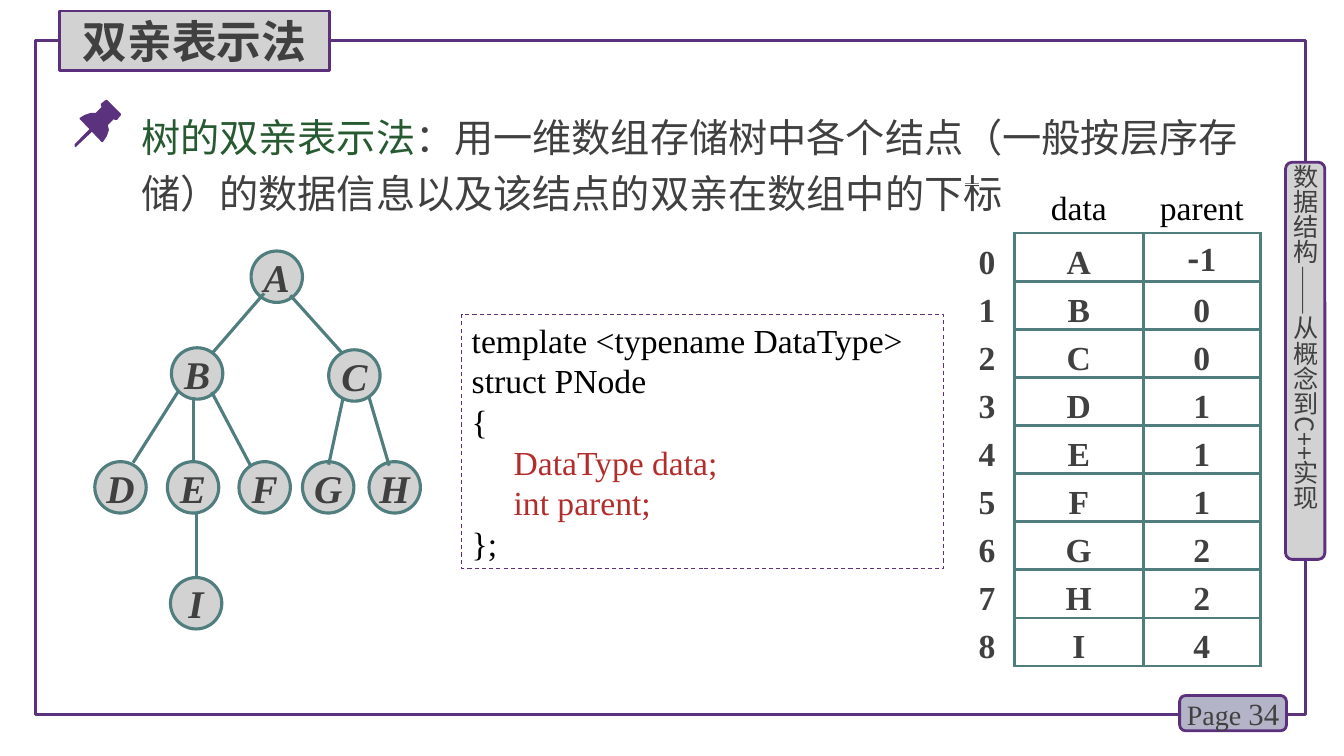
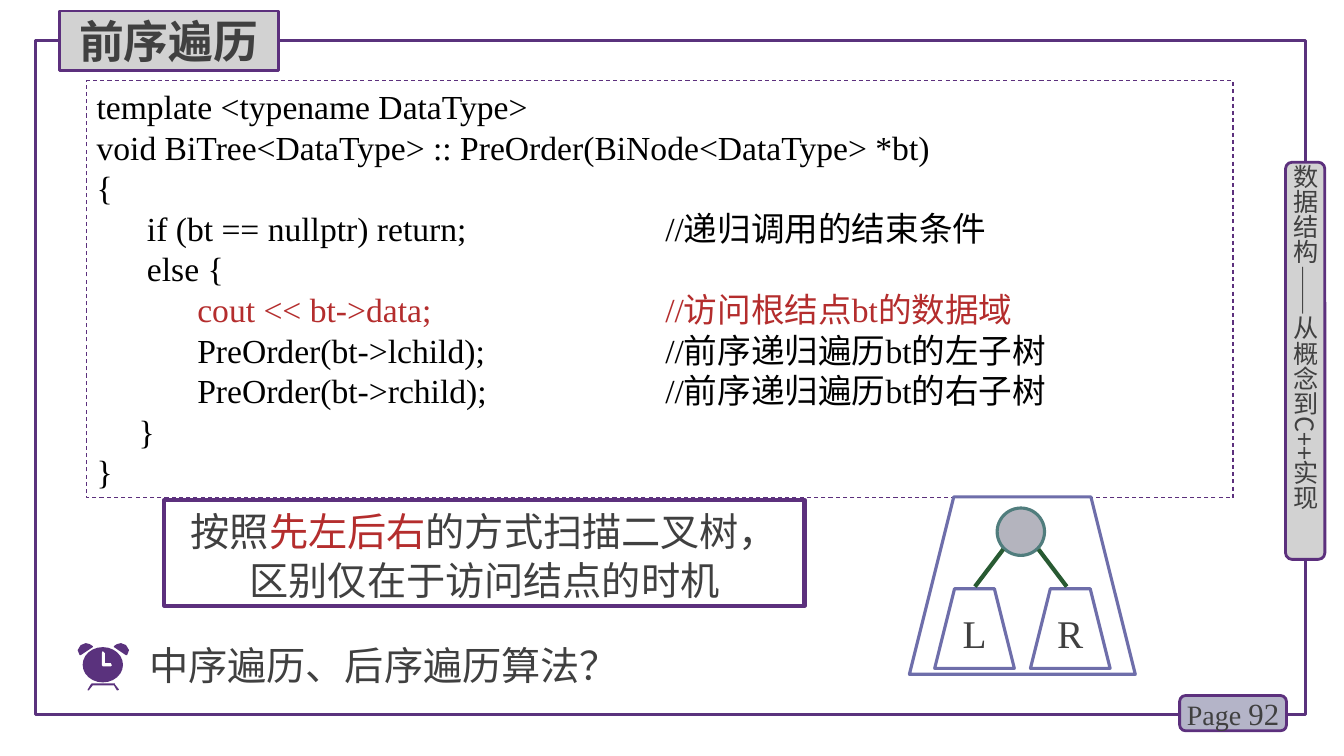
from pptx import Presentation
from pptx.dml.color import RGBColor
from pptx.enum.dml import MSO_LINE
from pptx.enum.shapes import MSO_CONNECTOR, MSO_SHAPE
from pptx.enum.text import MSO_ANCHOR, MSO_AUTO_SIZE, PP_ALIGN
from pptx.oxml.ns import qn
from pptx.util import Pt
from lxml.etree import SubElement

EMU_PER_PX = 9144
SERIF, SANS = "Times New Roman", "Noto Sans CJK SC"
INK, BLACK, WHITE, RED, GREEN = "404040", "000000", "FFFFFF", "B42D2D", "285A32"
PURPLE, EDGE, TEAL, LILAC = "5A327D", "5C307D", "507D7D", "6E6EAA"
GREY, BADGE, ROOT = "D2D2D2", "B4B4C8", "B4B4BE"
LEFT, CENTER = PP_ALIGN.LEFT, PP_ALIGN.CENTER


def px(length):
    return length * EMU_PER_PX


def rgb(colour):
    return RGBColor.from_string(colour)


def set_font(font, size=None, colour=None, face=None, bold=None, italic=None):
    if size:
        font.size = Pt(size)
    if colour:
        font.color.rgb = rgb(colour)
    if bold is not None:
        font.bold = bold
    if italic is not None:
        font.italic = italic
    if face:
        font.name = face
        SubElement(font._rPr, qn("a:ea")).set("typeface", SANS)


def write(frame, paragraphs, align=LEFT, spacing=None, tab=None, plain=False, **font):
    for index, content in enumerate(paragraphs):
        paragraph = frame.paragraphs[0] if index == 0 else frame.add_paragraph()
        props = paragraph._p.get_or_add_pPr()
        if plain:
            props.set("marL", "0")
            props.set("indent", "0")
            SubElement(props, qn("a:buNone"))
        if tab:
            stop = SubElement(SubElement(props, qn("a:tabLst")), qn("a:tab"))
            stop.set("pos", str(px(tab)))
            stop.set("algn", "l")
        paragraph.alignment = align
        paragraph.space_before = Pt(0)
        if spacing:
            paragraph.line_spacing = Pt(spacing)
        set_font(paragraph.font, **font)
        for text, changes in [(content, {})] if isinstance(content, str) else content:
            run = paragraph.add_run()
            run.text = text
            set_font(run.font, **changes)


def set_frame(shape, anchor=MSO_ANCHOR.MIDDLE, insets=(0, 0, 0, 0), wrap=True):
    frame = shape.text_frame
    frame.word_wrap = wrap
    frame.auto_size = MSO_AUTO_SIZE.NONE
    frame.vertical_anchor = anchor
    (frame.margin_left, frame.margin_top,
     frame.margin_right, frame.margin_bottom) = map(px, insets)
    return frame


def paint(shape, fill=None, line=None, width=2.25, dash=None):
    if fill:
        shape.fill.solid()
        shape.fill.fore_color.rgb = rgb(fill)
    else:
        shape.fill.background()
    if line:
        shape.line.color.rgb = rgb(line)
        shape.line.width = Pt(width)
        if dash:
            shape.line.dash_style = dash
    else:
        shape.line.fill.background()


def add_box(slide, kind, box, **look):
    shape = slide.shapes.add_shape(kind, *map(px, box))
    shape.shadow.inherit = False
    paint(shape, **look)
    return shape


def add_line(slide, x, y, ends, colour, width):
    x1, y1, x2, y2 = ends
    line = slide.shapes.add_connector(
        MSO_CONNECTOR.STRAIGHT, px(x + x1), px(y + y1), px(x + x2), px(y + y2))
    line.line.color.rgb = rgb(colour)
    line.line.width = Pt(width)
    SubElement(line._element.spPr, qn("a:effectLst"))


def add_outline(slide, x, y, points, fill=PURPLE):
    corners = [(x + dx, y + dy) for dx, dy in points]
    builder = slide.shapes.build_freeform(*corners[0], scale=EMU_PER_PX)
    builder.add_line_segments(corners[1:], close=True)
    outline = builder.convert_to_shape()
    outline.shadow.inherit = False
    paint(outline, fill)


def place(placeholder, box):
    (placeholder.left, placeholder.top,
     placeholder.width, placeholder.height) = map(px, box)


def add_page(deck, title, tab_width, number):
    slide = deck.slides.add_slide(deck.slide_layouts[1])
    border = add_box(slide, MSO_SHAPE.RECTANGLE, (35, 40, 1260, 669), line=PURPLE)
    slide.shapes._spTree.insert(2, border._element)

    badge = add_box(slide, MSO_SHAPE.ROUNDED_RECTANGLE, (1170, 690, 106, 35),
                    fill=BADGE, line=EDGE, width=2)
    write(set_frame(badge, wrap=False), [[("Page ", {"size": 20}), (number, {"size": 22})]],
          align=CENTER, colour=INK, face=SERIF)

    spine = add_box(slide, MSO_SHAPE.ROUNDED_RECTANGLE, (1275, 161, 39, 394),
                    fill=GREY, line=EDGE, width=2)
    spine_frame = set_frame(spine)
    spine_frame._txBody.bodyPr.set("vert", "eaVert")
    write(spine_frame, ["数据结构——从概念到C++实现"], align=CENTER,
          size=18, colour=INK, face=SANS)

    heading = slide.shapes.title
    place(heading, (59, 11, tab_width, 59))
    outline = SubElement(heading._element.spPr, qn("a:prstGeom"))
    outline.set("prst", "roundRect")
    SubElement(outline, qn("a:avLst"))
    paint(heading, fill=GREY, line=EDGE, width=2)
    write(set_frame(heading, wrap=False), [title], align=CENTER,
          size=32, colour=INK, face=SANS, bold=True)
    return slide


def add_body(slide, box, content, anchor, insets, spacing=None):
    body = slide.placeholders[1]
    place(body, box)
    write(set_frame(body, anchor, insets), [content], plain=True, spacing=spacing,
          size=28, colour=INK, face=SANS)


def add_code(slide, box, lines, tab=None):
    code = add_box(slide, MSO_SHAPE.RECTANGLE, box, line=EDGE, width=0.75, dash=MSO_LINE.DASH)
    write(set_frame(code, MSO_ANCHOR.TOP, (10, 5, 10, 5)), lines, spacing=29, tab=tab,
          size=24, colour=BLACK, face=SERIF)


def add_pin(slide, x, y):
    add_outline(slide, x, y, [
        (47, 15), (33, 1), (32, 1), (27, 5), (27, 7), (28, 8), (22, 14), (17, 14), (11, 16),
        (6, 19), (6, 20), (28, 43), (29, 43), (33, 37), (35, 31), (34, 26), (40, 20),
        (41, 21), (43, 21), (47, 16)])
    add_outline(slide, x, y, [
        (2, 48), (1, 47), (1, 45), (16, 30), (18, 29), (19, 30), (19, 32), (3, 47)])


def add_clock(slide, x, y):
    bell = [(8, 0), (3, 2), (0, 7), (2, 12), (3, 12), (15, 4), (15, 3), (12, 1)]
    add_outline(slide, x, y, bell)
    add_outline(slide, x, y, [(51 - dx, dy) for dx, dy in bell])
    add_outline(slide, x, y, [
        (41, 46), (37, 41), (37, 40), (14, 40), (13, 41), (10, 46), (10, 47), (11, 47),
        (15, 42), (36, 42), (39, 47), (40, 47)])
    add_box(slide, MSO_SHAPE.OVAL, (x + 5, y + 4, 40, 35), fill=PURPLE)
    add_outline(slide, x, y, [
        (33, 23), (25, 23), (24, 22), (24, 10), (25, 8), (27, 10), (27, 20), (33, 20),
        (34, 22)], WHITE)


def add_tree(slide, x, y):
    nodes = {"A": (155, 0), "B": (76, 96), "C": (232, 98), "D": (0, 209), "E": (72, 209),
             "F": (143, 209), "G": (206, 209), "H": (272, 209), "I": (75, 324)}
    branches = [(168, 42, 116, 102), (194, 44, 246, 102), (83, 139, 38, 210),
                (98, 145, 98, 210), (116, 140, 154, 212), (246, 147, 232, 212),
                (272, 145, 292, 213), (101, 260, 101, 324)]
    for letter, (dx, dy) in nodes.items():
        node = add_box(slide, MSO_SHAPE.OVAL, (x + dx, y + dy, 51, 51), fill=GREY, line=TEAL)
        write(set_frame(node, wrap=False), [letter], align=CENTER,
              size=28, colour=INK, face=SERIF, bold=True, italic=True)
    for branch in branches:
        add_line(slide, x, y, branch, TEAL, 2.25)


def set_borders(cell, sides):
    props = cell._tc.get_or_add_tcPr()
    for side in sides:
        edge = SubElement(props, qn("a:ln" + side))
        edge.set("w", str(Pt(2)))
        SubElement(SubElement(edge, qn("a:solidFill")), qn("a:srgbClr")).set("val", TEAL)


def add_parent_array(slide, x, y):
    parents = [[("-", {"face": SANS}), ("1", {})], *"00111224"]
    records = [("", "data", "parent")]
    records += [(str(i), *pair) for i, pair in enumerate(zip("ABCDEFGHI", parents))]
    widths, header_height, row_height = (54, 128, 116), px(48), px(429) // 9
    table = slide.shapes.add_table(
        len(records), 3, px(x), px(y), px(sum(widths)), header_height + 9 * row_height).table
    table.first_row = table.horz_banding = False
    for column, width in zip(table.columns, widths):
        column.width = px(width)
    for r, record in enumerate(records):
        table.rows[r].height = row_height if r else header_height
        for c, value in enumerate(record):
            cell = table.cell(r, c)
            set_borders(cell, "LRTB" if r and c else "R" if r else "B" if c else "")
            cell.fill.background()
            cell.margin_left = cell.margin_right = cell.margin_top = 0
            cell.margin_bottom = 0 if r else px(5)
            cell.vertical_anchor = MSO_ANCHOR.BOTTOM
            write(cell.text_frame, [value], align=CENTER, size=24,
                  colour=INK if r else BLACK, face=SERIF, bold=bool(r))


def add_rule_note(slide, box):
    note = add_box(slide, MSO_SHAPE.RECTANGLE, box, line=EDGE, width=3)
    write(set_frame(note, MSO_ANCHOR.TOP, (0, 5, 0, 5)),
          [[("按照", {}), ("先左后右", {"colour": RED}), ("的方式扫描二叉树，", {})],
           "区别仅在于访问结点的时机"],
          align=CENTER, spacing=35, size=28, colour=INK, face=SANS)


def add_subtree_sketch(slide, x, y):
    add_box(slide, MSO_SHAPE.TRAPEZOID, (x, y, 224, 176), line=LILAC)
    add_box(slide, MSO_SHAPE.OVAL, (x + 87, y + 11, 47, 47), fill=ROOT, line=TEAL)
    for letter, dx, branch in (("L", 25, (93, 52, 65, 89)), ("R", 120, (128, 52, 156, 89))):
        subtree = add_box(slide, MSO_SHAPE.TRAPEZOID, (x + dx, y + 91, 79, 79), line=LILAC)
        write(set_frame(subtree, wrap=False), [letter], align=CENTER, spacing=30,
              size=28, colour=INK, face=SERIF)
        add_line(slide, x, y, branch, GREEN, 3)


def add_parent_slide(deck):
    slide = add_page(deck, "双亲表示法", 268, "34")
    add_body(slide, (136, 99, 1094, 118),
             [("树的双亲表示法", {"colour": GREEN}),
              ("：用一维数组存储树中各个结点（一般按层序存储）的数据信息以及该结点的双亲在数组中的下标", {})],
             MSO_ANCHOR.TOP, (4, 5, 0, 5), spacing=40)
    add_pin(slide, 73, 98)
    add_tree(slide, 94, 249)
    add_parent_array(slide, 952, 183)
    add_code(slide, (458, 312, 478, 252), [
        "template <typename DataType>",
        "struct PNode",
        "{",
        [("     DataType data;", {"colour": RED})],
        [("     int parent;", {"colour": RED})],
        "};"])


def add_preorder_slide(deck):
    slide = add_page(deck, "前序遍历", 217, "92")
    add_code(slide, (86, 80, 1137, 414), [
        "template <typename DataType>",
        "void BiTree<DataType> :: PreOrder(BiNode<DataType> *bt)",
        "{",
        "      if (bt == nullptr) return;\t//递归调用的结束条件",
        "      else {",
        [("            cout << bt->data;\t//访问根结点bt的数据域", {"colour": RED})],
        "            PreOrder(bt->lchild);\t//前序递归遍历bt的左子树",
        "            PreOrder(bt->rchild);\t//前序递归遍历bt的右子树",
        "     }",
        "}"], tab=564)
    add_rule_note(slide, (163, 496, 635, 105))
    add_subtree_sketch(slide, 902, 493)
    add_clock(slide, 77, 638)
    add_body(slide, (138, 631, 665, 57), "中序遍历、后序遍历算法？",
             MSO_ANCHOR.MIDDLE, (10, 5, 10, 5))


def main():
    deck = Presentation()
    deck.slide_width, deck.slide_height = px(1333), px(750)
    add_parent_slide(deck)
    add_preorder_slide(deck)
    deck.save("out.pptx")


if __name__ == "__main__":
    main()
